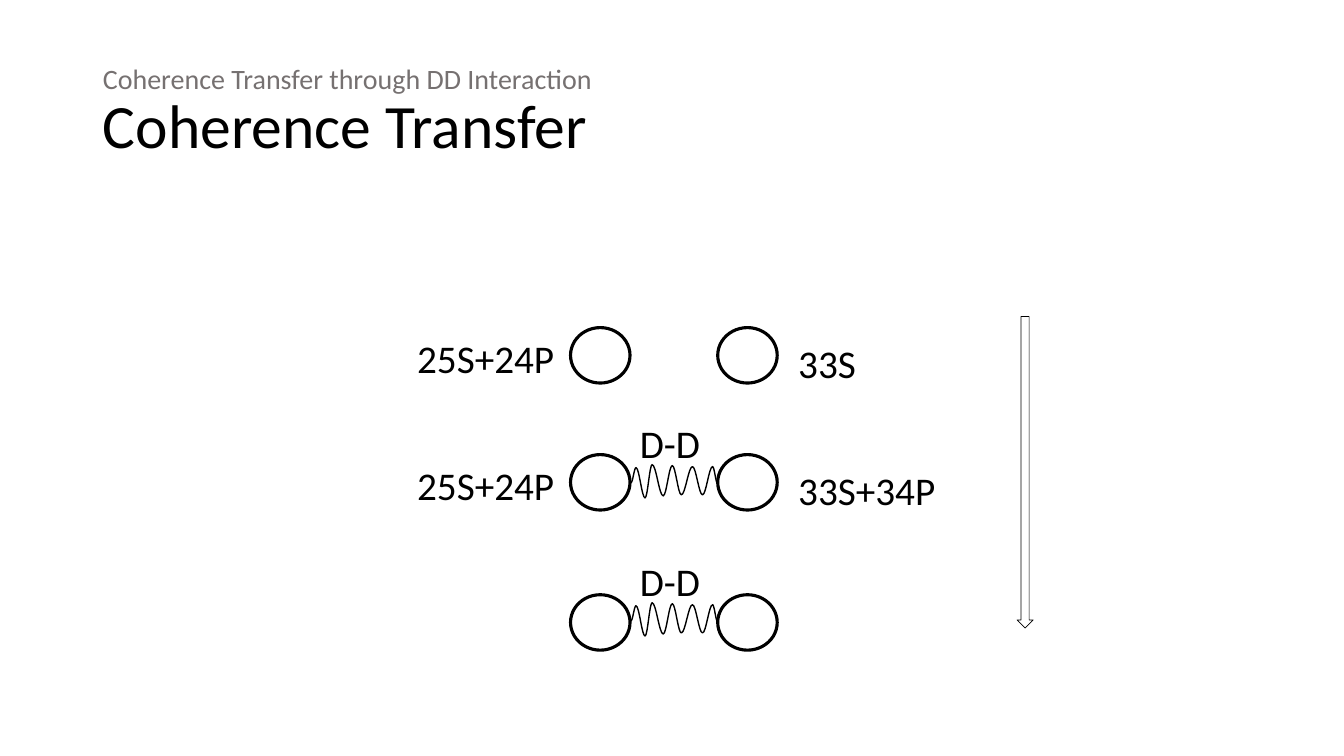
from dataclasses import dataclass

from lxml import etree
from pptx import Presentation
from pptx.dml.color import RGBColor
from pptx.enum.shapes import MSO_SHAPE
from pptx.enum.text import MSO_ANCHOR, MSO_AUTO_SIZE, PP_ALIGN
from pptx.oxml.ns import qn
from pptx.util import Inches, Pt

OVAL, DOWN_ARROW = MSO_SHAPE.OVAL, MSO_SHAPE.DOWN_ARROW
MIDDLE, LEFT = MSO_ANCHOR.MIDDLE, PP_ALIGN.LEFT
NO_FIT, GROW = MSO_AUTO_SIZE.NONE, MSO_AUTO_SIZE.SHAPE_TO_FIT_TEXT
COLORS = {"ink": "000000", "muted": "767171"}
FONT = "Calibri"

# Grid: ten columns and ten rows to the inch
CELL = Inches(0.1)
SLIDE_COLS, SLIDE_ROWS = 133.33, 75
ATOM_COLS, ATOM_W, ATOM_H = (56.6, 71.2), 5.9, 5.5
LEFT_LABEL_COL, RIGHT_LABEL_COL, BOND_COL = 40.4, 78.2, 62.5
SPRING_COL, LABEL_H = 62.6, 5.3
# Start, alternating peaks and troughs, end: columns and rows from the corner
SPRING_TURNS = [(0, 1.8), (0.5, 0.3), (1.4, 3.3), (2.1, 0), (3.2, 3.1), (4.1, 0.1),
                (5, 3), (6.1, 0.2), (7.1, 3), (8.1, 0.2), (8.6, 1.9)]
BEND = 0.36


@dataclass
class Stage:
    row: float
    left: str = ""
    right: str = ""
    right_w: float = 0
    spring_row: float = 0


STAGES = [
    Stage(32.5, "25S+24P", "33S", 7.8),
    Stage(45.1, "25S+24P", "33S+34P", 15.8, spring_row=46.1),
    Stage(59, spring_row=59.8),
]


def cells(*counts: float) -> list[int]:
    return [round(n * CELL) for n in counts]


def add_run(p, text: str, size: float, color: str) -> None:
    r = p.add_run()
    r.text = text
    r.font.name, r.font.size = FONT, Pt(size)
    r.font.color.rgb = RGBColor.from_string(COLORS[color])


def outline(sp, width: float) -> None:
    sp.shadow.inherit = False
    sp.fill.background()
    sp.line.color.rgb = RGBColor.from_string(COLORS["ink"])
    sp.line.width = Pt(width)


def add_outlined(s, kind, box: tuple, width: float) -> None:
    outline(s.shapes.add_shape(kind, *cells(*box)), width)


def add_label(s, text: str, col: float, row: float, width: float) -> None:
    tf = s.shapes.add_textbox(*cells(col, row, width, LABEL_H)).text_frame
    tf.word_wrap = False
    tf.auto_size = GROW
    add_run(tf.paragraphs[0], text, 28, "ink")


def curve_segments(sp) -> None:
    """Turn straight segments into curves that are level at both ends."""
    points = [(int(pt.get("x")), int(pt.get("y"))) for pt in sp._element.iter(qn("a:pt"))]
    lines = list(sp._element.iter(qn("a:lnTo")))
    for line, (x0, y0), (x1, y1) in zip(lines, points, points[1:]):
        reach = round((x1 - x0) * BEND)
        curve = etree.Element(qn("a:cubicBezTo"))
        for x, y in ((x0 + reach, y0), (x1 - reach, y1), (x1, y1)):
            etree.SubElement(curve, qn("a:pt"), x=str(x), y=str(y))
        line.getparent().replace(line, curve)


def add_spring(s, col: float, row: float) -> None:
    start, *turns = [cells(col + x, row + y) for x, y in SPRING_TURNS]
    fb = s.shapes.build_freeform(*start)
    fb.add_line_segments(turns, close=False)
    sp = fb.convert_to_shape()
    curve_segments(sp)
    outline(sp, 1)


def add_title(s) -> None:
    sp = s.shapes.title
    sp.left, sp.top, sp.width, sp.height = cells(9.2, 4, 115, 14.5)
    tf = sp.text_frame
    tf.vertical_anchor, tf.auto_size, tf.word_wrap = MIDDLE, NO_FIT, True
    p = tf.paragraphs[0]
    p.alignment, p.line_spacing = LEFT, 0.9
    add_run(p, "Coherence Transfer through DD Interaction", 20, "muted")
    p.add_line_break()
    # Keep the break as small as the line it ends
    etree.SubElement(p._p.find(qn("a:br")), qn("a:rPr"), sz="2000")
    add_run(p, "Coherence Transfer", 44, "ink")


def add_stage(s, stage: Stage) -> None:
    for col in ATOM_COLS:
        add_outlined(s, OVAL, (col, stage.row, ATOM_W, ATOM_H), 2.25)
    if stage.left:
        add_label(s, stage.left, LEFT_LABEL_COL, stage.row + 0.2, 15.8)
        add_label(s, stage.right, RIGHT_LABEL_COL, stage.row + 0.7, stage.right_w)
    if stage.spring_row:
        add_label(s, "D-D", BOND_COL, stage.spring_row - 5, 8.1)
        add_spring(s, SPRING_COL, stage.spring_row)


def main() -> None:
    prs = Presentation()
    prs.slide_width, prs.slide_height = cells(SLIDE_COLS, SLIDE_ROWS)
    s = prs.slides.add_slide(prs.slide_layouts[5])
    add_title(s)
    for stage in STAGES:
        add_stage(s, stage)
    # Time arrow
    add_outlined(s, DOWN_ARROW, (100.9, 31.4, 1.6, 30.9), 0.5)
    prs.save("out.pptx")


if __name__ == "__main__":
    main()
